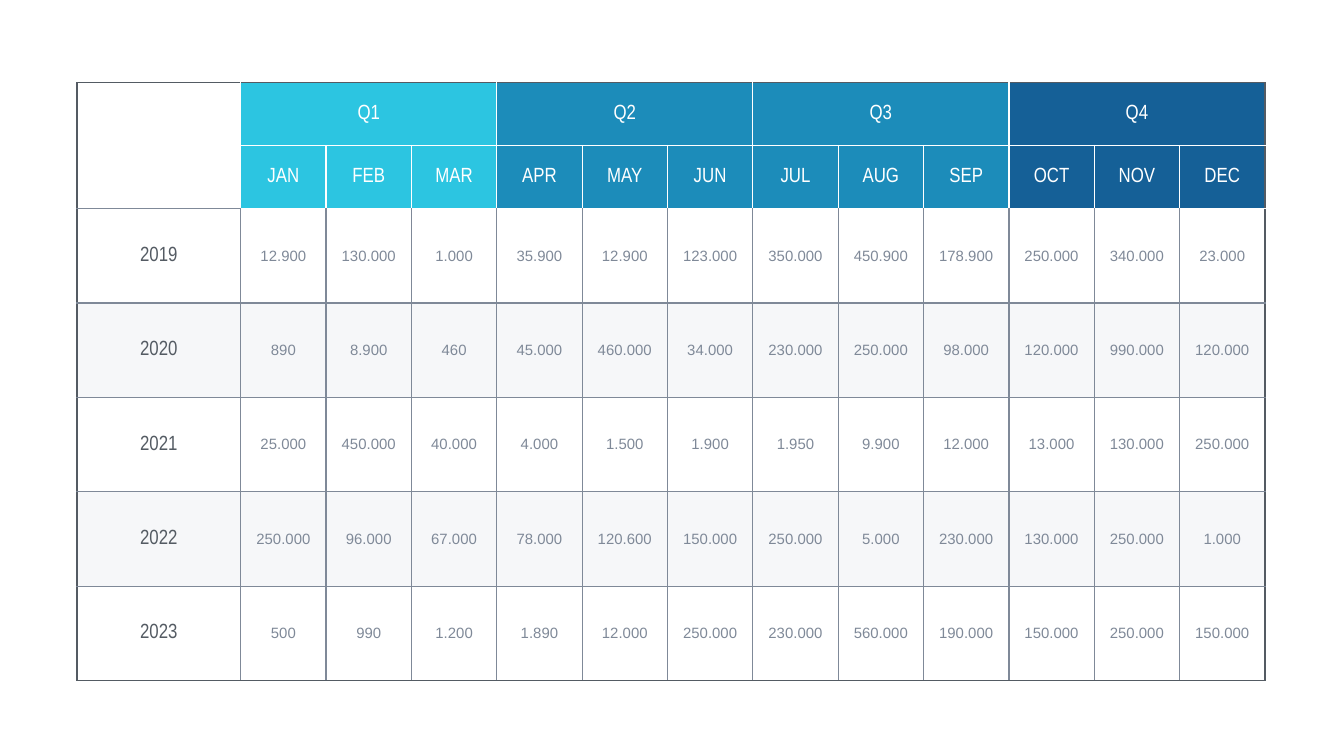
from lxml.etree import SubElement
from pptx import Presentation
from pptx.dml.color import RGBColor
from pptx.enum.text import MSO_ANCHOR, PP_ALIGN
from pptx.oxml import parse_xml
from pptx.oxml.ns import nsdecls, qn
from pptx.util import Pt

EMU_PER_PX = 4762.5  # 192 px to the inch
WHITE, SLATE, GREY, MIST = "FFFFFF", "545B63", "7F8998", "EEF0F4"

QUARTERS = [
    ("Q1", "2CC5E1", ["JAN", "FEB", "MAR"]),
    ("Q2", "1C8CBA", ["APR", "MAY", "JUN"]),
    ("Q3", "1C8CBA", ["JUL", "AUG", "SEP"]),
    ("Q4", "156097", ["OCT", "NOV", "DEC"]),
]
# Year, row fill, opacity in percent, monthly figures
YEARS = [
    ("2019", WHITE, 100, "12.900 130.000 1.000 35.900 12.900 123.000 "
                         "350.000 450.900 178.900 250.000 340.000 23.000"),
    ("2020", MIST, 50, "890 8.900 460 45.000 460.000 34.000 "
                       "230.000 250.000 98.000 120.000 990.000 120.000"),
    ("2021", WHITE, 100, "25.000 450.000 40.000 4.000 1.500 1.900 "
                         "1.950 9.900 12.000 13.000 130.000 250.000"),
    ("2022", MIST, 50, "250.000 96.000 67.000 78.000 120.600 150.000 "
                       "250.000 5.000 230.000 130.000 250.000 1.000"),
    ("2023", WHITE, 50, "500 990 1.200 1.890 12.000 250.000 "
                        "230.000 560.000 190.000 150.000 250.000 150.000"),
]
HEADER_ROWS = 2
COLUMN_WIDTHS = [234] + [122] * 12
ROW_HEIGHTS = [90] * HEADER_ROWS + [135] * len(YEARS)


def px(length):
    return int(length * EMU_PER_PX)


def rgb(hex_colour):
    return RGBColor.from_string(hex_colour)


class SlideBuilder:
    label_font, label_size = "Arial Narrow", 11
    figure_font, figure_size = "Arial", 8
    border_width = 0.75

    def __init__(self, slide):
        self.slide = slide

    def table(self, left, top, widths, heights):
        frame = self.slide.shapes.add_table(
            len(heights), len(widths), px(left), px(top), px(sum(widths)), px(sum(heights)))
        grid = frame.table
        grid.first_row = grid.horz_banding = False
        for column, width in zip(grid.columns, widths):
            column.width = px(width)
        for row, height in zip(grid.rows, heights):
            row.height = px(height)
        return grid

    def cell(self, cell, text, fill, colour, opacity=100, figure=False):
        cell.vertical_anchor = MSO_ANCHOR.MIDDLE
        cell.margin_left = cell.margin_right = px(8)
        cell.margin_top = cell.margin_bottom = px(4)
        cell.fill.solid()
        cell.fill.fore_color.rgb = rgb(fill)
        if opacity < 100:
            tint = cell._tc.tcPr.find(qn("a:solidFill"))[0]
            SubElement(tint, qn("a:alpha")).set("val", str(opacity * 1000))
        paragraph = cell.text_frame.paragraphs[0]
        paragraph.text = text
        paragraph.alignment = PP_ALIGN.CENTER
        font = paragraph.runs[0].font
        font.name = self.figure_font if figure else self.label_font
        font.size = Pt(self.figure_size if figure else self.label_size)
        font.color.rgb = rgb(colour)

    def borders(self, cell, colours):
        """Draw the left, right, top and bottom edges, which must precede the fill."""
        properties = cell._tc.get_or_add_tcPr()
        for position, (side, colour) in enumerate(zip("LRTB", colours)):
            properties.insert(position, parse_xml(
                f'<a:ln{side} {nsdecls("a")} w="{Pt(self.border_width)}">'
                f'<a:solidFill><a:srgbClr val="{colour}"/></a:solidFill></a:ln{side}>'))


def edge_colours(row, column, last_column):
    """Slate around the table, white inside the header, grey elsewhere."""
    in_header = row < HEADER_ROWS
    inner = WHITE if in_header else GREY
    left = SLATE if column == 0 else inner
    right = SLATE if last_column == len(COLUMN_WIDTHS) - 1 else inner
    if row == 0:
        top = SLATE
    else:
        top = WHITE if column and row <= HEADER_ROWS else GREY
    if row == len(ROW_HEIGHTS) - 1:
        bottom = SLATE
    else:
        bottom = WHITE if column and in_header else GREY
    return left, right, top, bottom


def main():
    presentation = Presentation()
    presentation.slide_width, presentation.slide_height = px(1920), px(1080)
    builder = SlideBuilder(presentation.slides.add_slide(presentation.slide_layouts[6]))
    calendar = builder.table(110, 118, COLUMN_WIDTHS, ROW_HEIGHTS)

    corner = calendar.cell(0, 0)
    corner.merge(calendar.cell(1, 0))
    corner.fill.background()

    for index, (quarter, fill, months) in enumerate(QUARTERS):
        first = 1 + index * len(months)
        heading = calendar.cell(0, first)
        heading.merge(calendar.cell(0, first + len(months) - 1))
        builder.cell(heading, quarter, fill, WHITE)
        for column, month in enumerate(months, first):
            builder.cell(calendar.cell(1, column), month, fill, WHITE)

    for row, (year, fill, opacity, figures) in enumerate(YEARS, HEADER_ROWS):
        builder.cell(calendar.cell(row, 0), year, fill, SLATE, opacity)
        for column, figure in enumerate(figures.split(), 1):
            builder.cell(calendar.cell(row, column), figure, fill, GREY, opacity, figure=True)

    for row in range(len(ROW_HEIGHTS)):
        for column in range(len(COLUMN_WIDTHS)):
            cell = calendar.cell(row, column)
            if not cell.is_spanned:
                last_column = column + cell.span_width - 1
                builder.borders(cell, edge_colours(row, column, last_column))

    presentation.save("out.pptx")


if __name__ == "__main__":
    main()
